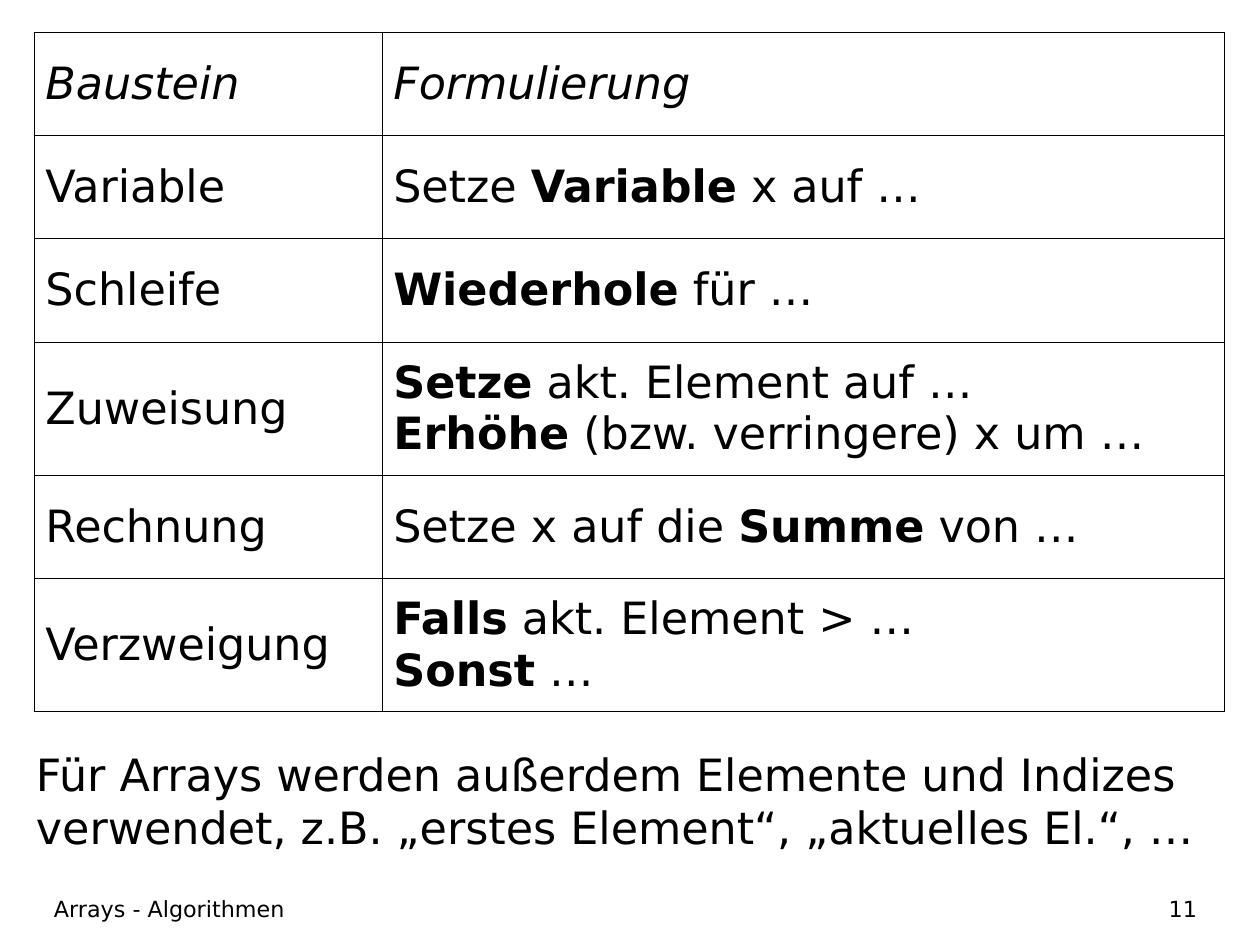
"""Build a slide that lists the wording of algorithm building blocks."""
import lxml.etree
import pptx
import pptx.dml.color
import pptx.enum.text
import pptx.oxml.ns
import pptx.util

Cm = pptx.util.Cm
Pt = pptx.util.Pt
ALIGN = pptx.enum.text.PP_ALIGN
ANCHOR = pptx.enum.text.MSO_ANCHOR
BLACK = pptx.dml.color.RGBColor(0, 0, 0)

LARGE = {"name": "DejaVu Sans", "size": Pt(28)}
SMALL = {**LARGE, "size": Pt(14)}
HEAD = {**LARGE, "italic": True}
INSET = {"margin_left": 0, "margin_right": 0, "margin_top": 0, "margin_bottom": 0}
PAD = {"margin_left": Cm(0.25), "margin_right": Cm(0.25),
       "margin_top": Cm(0.13), "margin_bottom": Cm(0.13),
       "vertical_anchor": ANCHOR.MIDDLE}
PLAIN = {"first_row": False, "horz_banding": False}

COLS = (7.73, 18.71)
ROWS = (
    ("Baustein", "Formulierung"),
    ("Variable", "Setze *Variable* x auf …"),
    ("Schleife", "*Wiederhole* für …"),
    ("Zuweisung", "*Setze* akt. Element auf …\n*Erhöhe* (bzw. verringere) x um …"),
    ("Rechnung", "Setze x auf die *Summe* von …"),
    ("Verzweigung", "*Falls* akt. Element > …\n*Sonst* …"),
)
NOTE = ("Für Arrays werden außerdem Elemente und Indizes verwendet, "
        "z.B. „erstes Element“, „aktuelles El.“, …")


def assign(item, values):
    """Set each attribute named in values."""
    for name, value in values.items():
        setattr(item, name, value)


def write(frame, text, font, align=ALIGN.LEFT):
    """Write one paragraph per line, with *starred* parts in bold."""
    for index, line in enumerate(text.split("\n")):
        para = frame.add_paragraph() if index else frame.paragraphs[0]
        para.alignment = align
        for place, part in enumerate(line.split("*")):
            if part:
                run = para.add_run()
                run.text = part
                assign(run.font, {**font, "bold": place % 2 == 1})
                run.font.color.rgb = BLACK


def border(cell):
    """Draw a thin black line on all four sides of a cell."""
    qn = pptx.oxml.ns.qn
    props = cell._tc.get_or_add_tcPr()
    for side in "LRTB":
        line = lxml.etree.SubElement(props, qn(f"a:ln{side}"), w=str(Pt(0.57)))
        fill = lxml.etree.SubElement(line, qn("a:solidFill"))
        lxml.etree.SubElement(fill, qn("a:srgbClr"), val=str(BLACK))


def add_grid(slide):
    """Add the table of building blocks."""
    heights = [Cm(2.95 if "\n" in right else 2.3) for _, right in ROWS]
    widths = [Cm(width) for width in COLS]
    table = slide.shapes.add_table(len(ROWS), len(COLS), Cm(0.76), Cm(0.71),
                                   sum(widths), sum(heights)).table
    assign(table, PLAIN)
    for column, width in zip(table.columns, widths):
        column.width = width
    for index, (row, texts) in enumerate(zip(table.rows, ROWS)):
        row.height = heights[index]
        for cell, text in zip(row.cells, texts):
            assign(cell, PAD)
            border(cell)
            cell.fill.background()
            write(cell.text_frame, text, LARGE if index else HEAD)


def add_text(slide, box, text, font, anchor=ANCHOR.MIDDLE, align=ALIGN.LEFT):
    """Add a wrapped text box without insets."""
    frame = slide.shapes.add_textbox(*map(Cm, box)).text_frame
    assign(frame, {**INSET, "word_wrap": True, "vertical_anchor": anchor})
    write(frame, text, font, align)


def main():
    """Build and save the slide."""
    deck = pptx.Presentation()
    assign(deck, {"slide_width": Cm(28), "slide_height": Cm(21)})
    slide = deck.slides.add_slide(deck.slide_layouts[6])
    add_grid(slide)
    add_text(slide, (0.8, 16.6, 26.4, 2.8), NOTE, LARGE, ANCHOR.TOP)
    add_text(slide, (1.2, 19.8, 17.25, 0.8), "Arrays - Algorithmen", SMALL)
    add_text(slide, (20.07, 19.8, 6.53, 0.8), "11", SMALL, align=ALIGN.RIGHT)
    deck.save("out.pptx")


if __name__ == "__main__":
    main()
